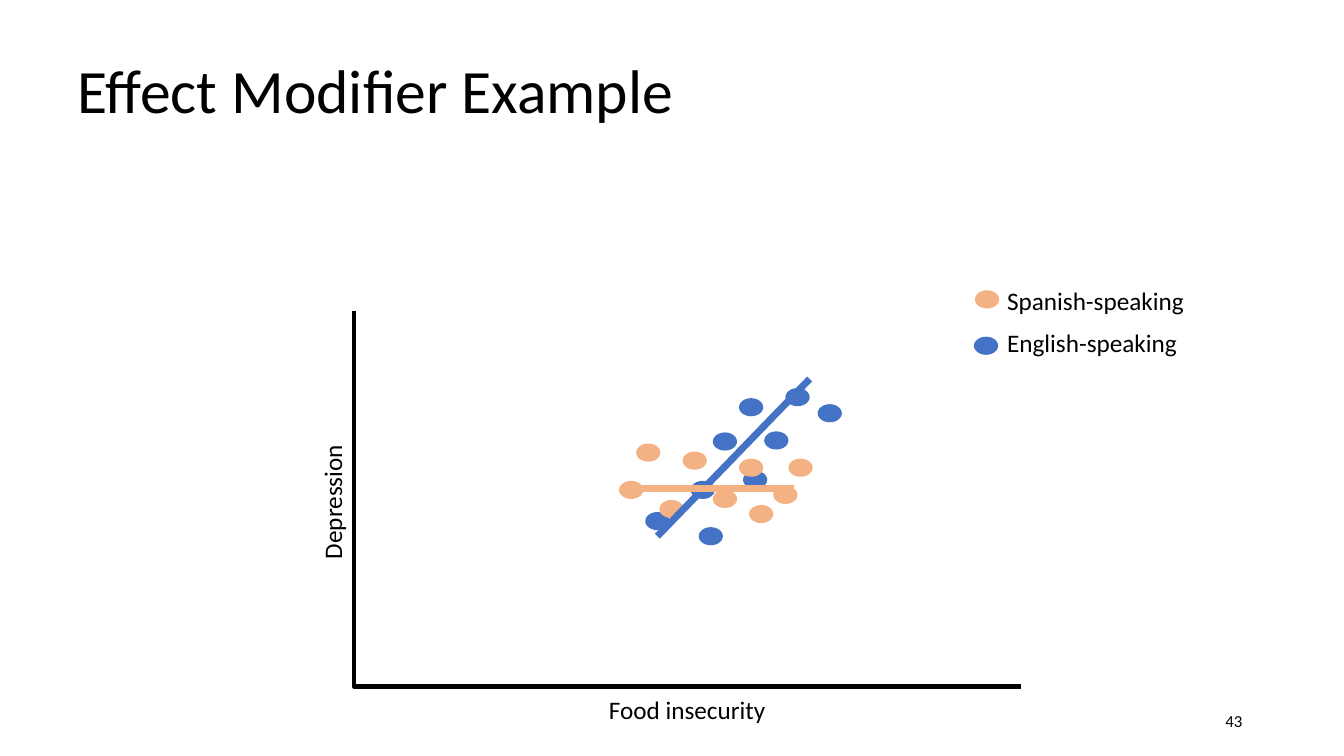
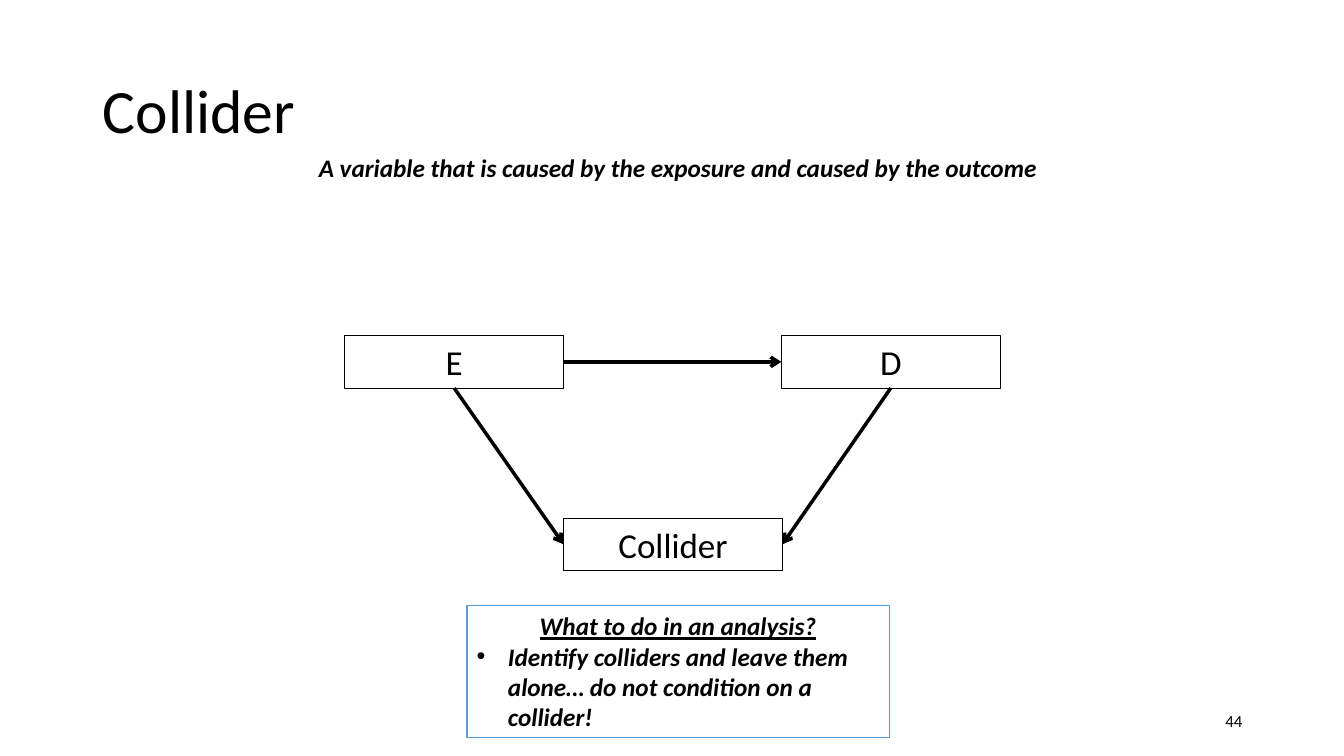
from lxml.etree import SubElement
from pptx import Presentation
from pptx.dml.color import RGBColor
from pptx.enum.shapes import MSO_CONNECTOR, MSO_SHAPE
from pptx.enum.text import MSO_ANCHOR, MSO_AUTO_SIZE, PP_ALIGN
from pptx.oxml.ns import qn
from pptx.util import Pt

PX = 9144
COLORS = {
    "ink": "000000",
    "paper": "FFFFFF",
    "english": "4472C4",
    "spanish": "F4B183",
    "frame": "5B9BD5",
}
ENGLISH_POINTS = [(693, 523), (685, 477), (737, 467), (707, 429), (733, 395),
                  (811, 401), (758, 428), (779, 385), (640, 508)]
SPANISH_POINTS = [(614, 477), (654, 496), (707, 486), (677, 448), (733, 455),
                  (631, 440), (782, 455), (743, 501), (767, 482)]


class Deck:
    """Holds the shared style and the slide being drawn."""

    font = "Calibri"
    title_size = 44
    body_size = 18
    number_size = 12
    node_size = 25
    layout_index = 5

    def __init__(self, width, height):
        """Start an empty presentation of the given size."""
        self.prs = Presentation()
        self.prs.slide_width = width * PX
        self.prs.slide_height = height * PX
        self.slide = None

    def color(self, name):
        """Return a palette colour."""
        return RGBColor.from_string(COLORS[name])

    def start(self, heading, number, *box):
        """Add a slide with its title and page number."""
        self.slide = self.prs.slides.add_slide(self.prs.slide_layouts[self.layout_index])
        title = self.slide.shapes.title
        title.left, title.top, title.width, title.height = (v * PX for v in box)
        self.set_text(title, [heading], self.title_size, PP_ALIGN.LEFT, MSO_ANCHOR.MIDDLE)
        title.text_frame.paragraphs[0].line_spacing = 0.9
        self.label(str(number), 942, 695, 300, 40, PP_ALIGN.RIGHT,
                   size=self.number_size, anchor=MSO_ANCHOR.MIDDLE)

    def set_text(self, shape, lines, size, align, anchor=MSO_ANCHOR.TOP, strong=False):
        """Fill a shape with paragraphs in the deck's font."""
        frame = shape.text_frame
        frame.text = "\n".join(lines)
        frame.word_wrap = True
        frame.auto_size = MSO_AUTO_SIZE.NONE
        frame.vertical_anchor = anchor
        for paragraph in frame.paragraphs:
            paragraph.alignment = align
            for run in paragraph.runs:
                run.font.name = self.font
                run.font.size = Pt(size)
                run.font.color.rgb = self.color("ink")
                if strong:
                    run.font.bold = run.font.italic = True

    def label(self, text, left, top, width, height, align, size=body_size,
              anchor=MSO_ANCHOR.TOP, strong=False, rotation=0):
        """Add a line of free text."""
        box = self.slide.shapes.add_textbox(left * PX, top * PX, width * PX, height * PX)
        box.rotation = rotation
        self.set_text(box, [text], size, align, anchor, strong)

    def shape(self, kind, left, top, width, height, fill=None, line=None, weight=1):
        """Add a flat preset shape."""
        shape = self.slide.shapes.add_shape(kind, left * PX, top * PX, width * PX, height * PX)
        shape.shadow.inherit = False
        if fill:
            shape.fill.solid()
            shape.fill.fore_color.rgb = self.color(fill)
        else:
            shape.fill.background()
        if line:
            shape.line.color.rgb = self.color(line)
            shape.line.width = Pt(weight)
        else:
            shape.line.fill.background()
        return shape

    def dot(self, left, top, color):
        """Add one data point."""
        self.shape(MSO_SHAPE.OVAL, left, top, 24, 18, fill=color)

    def node(self, text, left, top):
        """Add a variable box."""
        box = self.shape(MSO_SHAPE.RECTANGLE, left, top, 217, 52, line="ink", weight=0.75)
        self.set_text(box, [text], self.node_size, PP_ALIGN.CENTER)
        return box

    def line(self, color, weight, x1=0, y1=0, x2=0, y2=0):
        """Add a straight line."""
        line = self.slide.shapes.add_connector(
            MSO_CONNECTOR.STRAIGHT, x1 * PX, y1 * PX, x2 * PX, y2 * PX)
        line.line.color.rgb = self.color(color)
        line.line.width = Pt(weight)
        SubElement(line._element.spPr, qn("a:effectLst"))
        return line

    def arrow(self, source, source_side, target, target_side):
        """Join two boxes with an arrow."""
        arrow = self.line("ink", 2.5)
        arrow.begin_connect(source, source_side)
        arrow.end_connect(target, target_side)
        SubElement(arrow.get_or_add_ln(), qn("a:tailEnd"), type="arrow")

    def axes(self, left, top, right, bottom):
        """Draw both chart axes as one outline."""
        builder = self.slide.shapes.build_freeform(left, top, scale=PX)
        builder.add_line_segments([(left, bottom), (right, bottom)], close=False)
        axes = builder.convert_to_shape()
        axes.shadow.inherit = False
        axes.fill.background()
        axes.line.color.rgb = self.color("ink")
        axes.line.width = Pt(3)

    def advice(self, question, answer, *box):
        """Add a framed question with a bulleted answer."""
        panel = self.shape(MSO_SHAPE.RECTANGLE, *box, fill="paper", line="frame")
        self.set_text(panel, [question, answer], self.body_size, PP_ALIGN.CENTER, strong=True)
        heading, bullet = panel.text_frame.paragraphs
        heading.runs[0].font.underline = True
        bullet.alignment = PP_ALIGN.LEFT
        props = bullet._p.get_or_add_pPr()
        props.set("marL", str(31 * PX))
        props.set("indent", str(-31 * PX))
        SubElement(props, qn("a:buFont"), typeface="Arial")
        SubElement(props, qn("a:buChar"), char="•")


def effect_modifier(deck):
    """Draw the scatter of two language groups."""
    deck.start("Effect Modifier Example", 43, 67, 30, 1200, 125)
    deck.axes(351, 309, 1013, 681)
    deck.label("Depression", 200, 478, 259, 40, PP_ALIGN.CENTER, rotation=270)
    deck.label("Food insecurity", 555, 684, 253, 40, PP_ALIGN.CENTER)
    for color, points in (("english", ENGLISH_POINTS), ("spanish", SPANISH_POINTS)):
        for left, top in points:
            deck.dot(left, top, color)
    for group, color, dot_left, dot_top, text_top in (
            ("Spanish-speaking", "spanish", 967, 288, 278),
            ("English-speaking", "english", 966, 334, 320)):
        deck.dot(dot_left, dot_top, color)
        deck.label(group, 989, text_top, 253, 40, PP_ALIGN.LEFT)
    deck.line("english", 5, 652, 532, 803, 376)
    deck.line("spanish", 5, 618, 485, 788, 485)


def collider(deck):
    """Draw the collider diagram."""
    deck.start("Collider", 44, 92, 40, 1150, 145)
    deck.label("A variable that is caused by the exposure and caused by the outcome",
               256, 146, 833, 40, PP_ALIGN.CENTER, strong=True)
    exposure = deck.node("E", 342, 333)
    outcome = deck.node("D", 775, 333)
    effect = deck.node("Collider", 559, 514)
    deck.arrow(exposure, 2, effect, 1)
    deck.arrow(outcome, 2, effect, 3)
    deck.arrow(exposure, 3, outcome, 1)
    deck.advice("What to do in an analysis?",
                "Identify colliders and leave them alone… do not condition on a collider!",
                463, 601, 419, 131)


def main():
    """Build and save the presentation."""
    deck = Deck(1333, 750)
    effect_modifier(deck)
    collider(deck)
    deck.prs.save("out.pptx")


if __name__ == "__main__":
    main()
